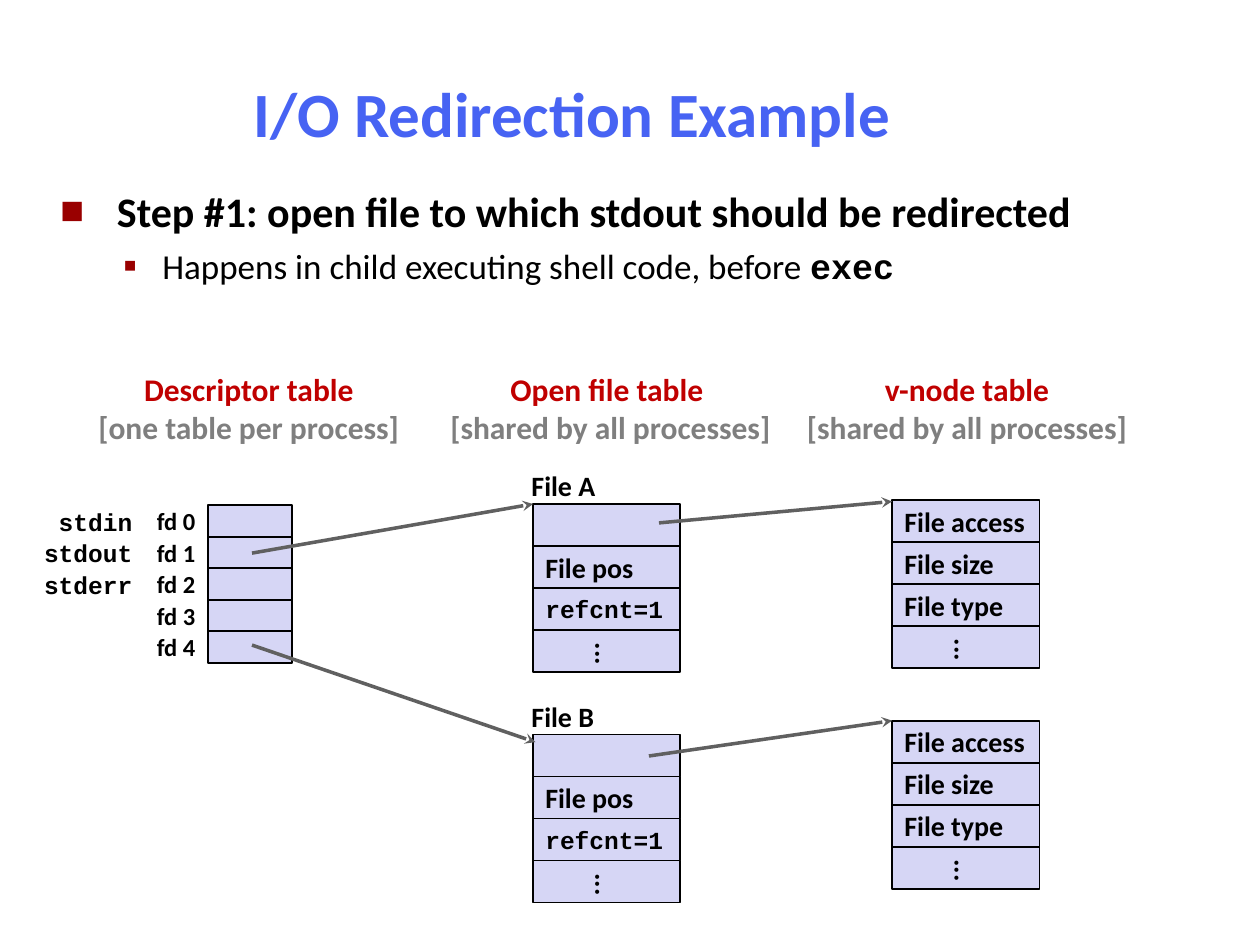
"""Build the I/O redirection slide: descriptor, open file and v-node tables."""
from lxml import etree
from pptx import Presentation
from pptx.dml.color import RGBColor
from pptx.enum.shapes import MSO_CONNECTOR, MSO_SHAPE
from pptx.enum.text import MSO_ANCHOR, PP_ALIGN
from pptx.oxml.ns import qn
from pptx.util import Inches, Pt

LEFT, CENTER, RIGHT = PP_ALIGN.LEFT, PP_ALIGN.CENTER, PP_ALIGN.RIGHT
MIDDLE, TOP = MSO_ANCHOR.MIDDLE, MSO_ANCHOR.TOP
RECTANGLE, STRAIGHT = MSO_SHAPE.RECTANGLE, MSO_CONNECTOR.STRAIGHT

BLACK = RGBColor(0x00, 0x00, 0x00)
BLUE = RGBColor(0x47, 0x63, 0xF3)
RED = RGBColor(0xC0, 0x00, 0x00)
GRAY = RGBColor(0x7F, 0x7F, 0x7F)
LAVENDER = RGBColor(0xD6, 0xD6, 0xF5)
ARROW_GRAY = RGBColor(0x60, 0x60, 0x60)
BULLET_RED = RGBColor(0x99, 0x00, 0x00)
SANS, MONO = "Calibri", "Courier New"


def write(paragraph, text, size=16, font=SANS, color=BLACK, bold=True, align=LEFT):
    paragraph.alignment = align
    run = paragraph.add_run()
    run.text = text
    run.font.size = Pt(size)
    run.font.name = font
    run.font.bold = bold
    run.font.color.rgb = color


def add_text_area(left, top, width, height, anchor=MIDDLE, wrap=False):
    area = slide.shapes.add_textbox(Inches(left), Inches(top), Inches(width), Inches(height))
    area.text_frame.word_wrap = wrap
    area.text_frame.vertical_anchor = anchor
    return area.text_frame


prs = Presentation()
prs.slide_width, prs.slide_height = Inches(10), Inches(7.5)
slide = prs.slides.add_slide(prs.slide_layouts[6])

title = add_text_area(0.39, 0.48, 8.3, 0.83, wrap=True)
write(title.paragraphs[0], "I/O Redirection Example", size=36, color=BLUE, align=CENTER)

body = add_text_area(0.38, 1.42, 9.35, 1.08, anchor=TOP, wrap=True)
step, detail = body.paragraphs[0], body.add_paragraph()
detail.level = 1
detail.space_before = Pt(5)
for paragraph, margin, hanging, percent, symbol in (
    (step, 0.45, 0.45, 60, "■"),
    (detail, 0.81, 0.31, 110, "▪"),
):
    properties = paragraph._p.get_or_add_pPr()
    properties.set("marL", str(Inches(margin)))
    properties.set("indent", str(-Inches(hanging)))
    bullet_color = etree.SubElement(properties, qn("a:buClr"))
    etree.SubElement(bullet_color, qn("a:srgbClr"), val=str(BULLET_RED))
    etree.SubElement(properties, qn("a:buSzPct"), val=str(percent * 1000))
    etree.SubElement(properties, qn("a:buFont"), typeface=SANS)
    etree.SubElement(properties, qn("a:buChar"), char=symbol)
write(step, "Step #1: open file to which stdout should be redirected", size=24)
write(detail, "Happens in child executing shell code, before ", size=20, bold=False)
write(detail, "exec", size=20, font=MONO)

for left, width, heading, scope in (
    (0.68, 2.59, "Descriptor table", "[one table per process]"),
    (3.47, 2.75, "Open file table ", "[shared by all processes]"),
    (6.3, 2.75, "v-node table", "[shared by all processes]"),
):
    header = add_text_area(left, 2.89, width, 0.7)
    write(header.paragraphs[0], heading, size=18, color=RED, align=CENTER)
    write(header.add_paragraph(), scope, size=18, color=GRAY, align=CENTER)

DESCRIPTOR_TOP, DESCRIPTOR_HEIGHT = 4.01, 0.25
for number in range(5):
    fd_label = add_text_area(0.98, DESCRIPTOR_TOP + number * DESCRIPTOR_HEIGHT, 0.67, DESCRIPTOR_HEIGHT)
    write(fd_label.paragraphs[0], f"fd {number}", size=14, align=RIGHT)
for number, stream in enumerate(("stdin", "stdout", "stderr")):
    stream_label = add_text_area(0.25, 3.97 + number * DESCRIPTOR_HEIGHT, 0.9, 0.34)
    write(stream_label.paragraphs[0], stream, size=14, font=MONO, align=RIGHT)

for top, name in ((3.67, "File A"), (5.5, "File B")):
    file_label = add_text_area(4.12, top, 0.9, 0.37)
    write(file_label.paragraphs[0], name)

OPEN_FILE = ("", "File pos", "refcnt=1", "...")
V_NODE = ("File access", "File size", "File type", "...")
ROW_HEIGHT = 1 / 3
for left, top, width, height, rows in (
    (1.65, DESCRIPTOR_TOP, 0.67, DESCRIPTOR_HEIGHT, [""] * 5),
    (4.23, 4, 1.17, ROW_HEIGHT, OPEN_FILE),
    (7.08, 3.97, 1.17, ROW_HEIGHT, V_NODE),
    (4.23, 5.83, 1.17, ROW_HEIGHT, OPEN_FILE),
    (7.08, 5.72, 1.17, ROW_HEIGHT, V_NODE),
):
    for index, entry in enumerate(rows):
        cell = slide.shapes.add_shape(
            RECTANGLE, Inches(left), Inches(top + index * height), Inches(width), Inches(height))
        cell.shadow.inherit = False
        cell.fill.solid()
        cell.fill.fore_color.rgb = LAVENDER
        cell.line.color.rgb = BLACK
        cell.line.width = Pt(1)
        if not entry:
            continue
        frame = cell.text_frame
        frame.word_wrap = False
        frame.vertical_anchor = MIDDLE
        if entry == "...":
            frame._txBody.bodyPr.set("vert", "eaVert")
            frame.margin_left = frame.margin_right = Inches(0.05)
            frame.margin_top = frame.margin_bottom = Inches(0.1)
        is_code = entry.startswith("refcnt")
        write(frame.paragraphs[0], entry, size=14 if is_code else 16, font=MONO if is_code else SANS)

for start_x, start_y, end_x, end_y in (
    (2, 4.39, 4.23, 4),
    (5.23, 4.15, 7.08, 3.98),
    (2, 5.12, 4.25, 5.89),
    (5.15, 6, 7.08, 5.72),
):
    pointer = slide.shapes.add_connector(
        STRAIGHT, Inches(start_x), Inches(start_y), Inches(end_x), Inches(end_y))
    pointer.line.color.rgb = ARROW_GRAY
    pointer.line.width = Pt(2)
    etree.SubElement(pointer.line._get_or_add_ln(), qn("a:tailEnd"), type="stealth")
    etree.SubElement(pointer._element.spPr, qn("a:effectLst"))

prs.save("out.pptx")
